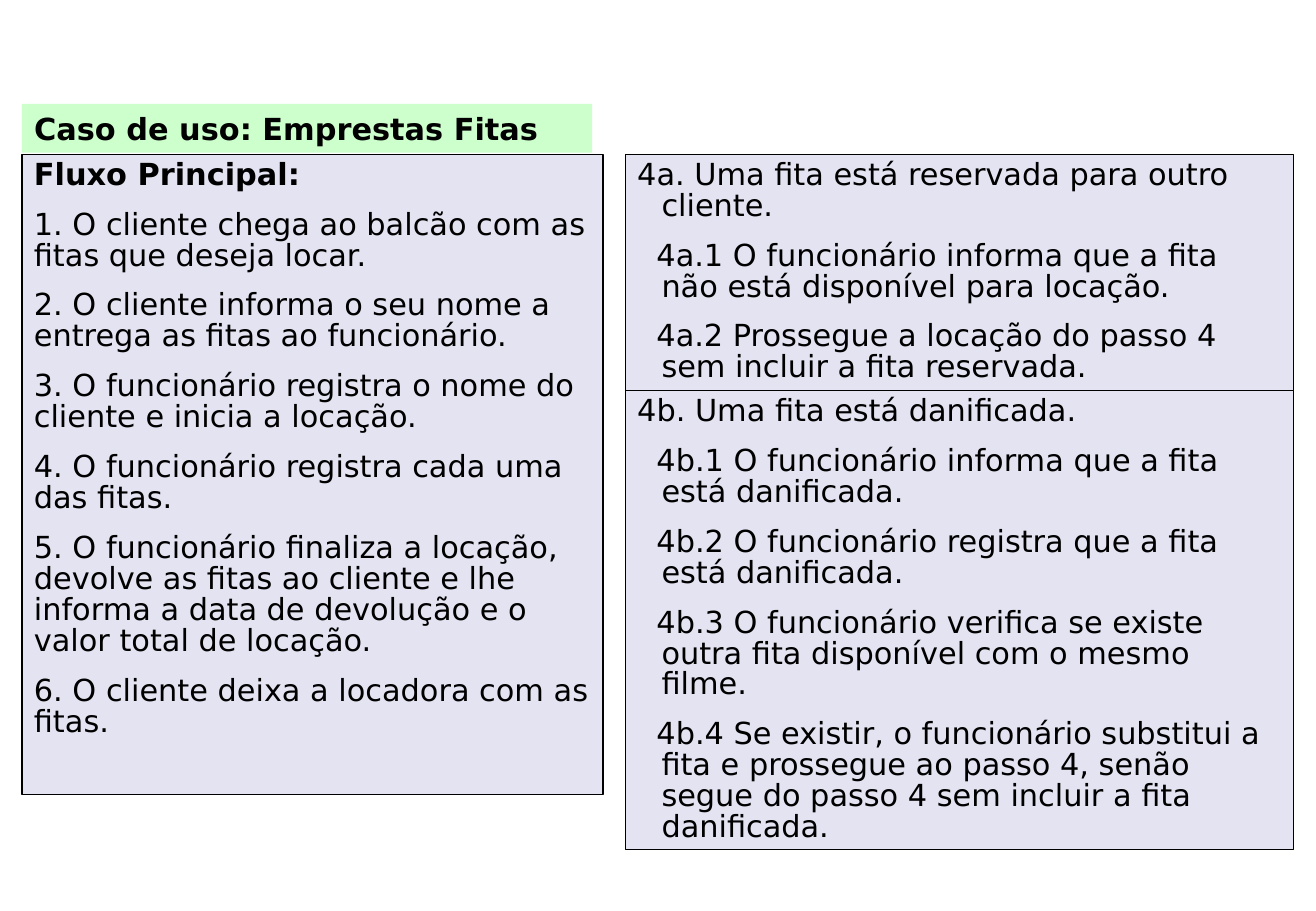
from pptx import Presentation
from pptx.dml.color import RGBColor
from pptx.enum.shapes import MSO_SHAPE
from pptx.enum.text import MSO_ANCHOR, MSO_AUTO_SIZE, PP_ALIGN
from pptx.util import Pt

# Content
TITLE = "Caso de uso: Emprestas Fitas"
MAIN_HEADING = "Fluxo Principal:"
MAIN_STEPS = [
    "1. O cliente chega ao balcão com as fitas que deseja locar.",
    "2. O cliente informa o seu nome a entrega as fitas ao funcionário.",
    "3. O funcionário registra o nome do cliente e inicia a locação.",
    "4. O funcionário registra cada uma das fitas.",
    "5. O funcionário finaliza a locação, devolve as fitas ao cliente e lhe "
    "informa a data de devolução e o valor total de locação.",
    "6. O cliente deixa a locadora com as fitas.",
]
# Alternative flows: box height, condition, steps
ALTERNATIVES = [
    (140, "4a. Uma fita está reservada para outro cliente.", [
        "4a.1 O funcionário informa que a fita não está disponível para locação.",
        "4a.2 Prossegue a locação do passo 4 sem incluir a fita reservada.",
    ]),
    (272, "4b. Uma fita está danificada.", [
        "4b.1 O funcionário informa que a fita está danificada.",
        "4b.2 O funcionário registra que a fita está danificada.",
        "4b.3 O funcionário verifica se existe outra fita disponível com o mesmo filme.",
        "4b.4 Se existir, o funcionário substitui a fita e prossegue ao passo 4, "
        "senão segue do passo 4 sem incluir a fita danificada.",
    ]),
]

# Format
FONT = "DejaVu Sans"
BLACK = RGBColor(0x00, 0x00, 0x00)
GREEN = RGBColor(0xCC, 0xFF, 0xCC)
LILAC = RGBColor(0xE3, 0xE3, 0xF1)
LEFT, RIGHT = 13, 370.6
TITLE_TOP, TOP = 61.5, 91.6
MARGIN, CONDITION_INDENT, STEP_INDENT = 14.4, -14.4, -3


def add_text(tf, text, bold=False, margin=0, indent=0, spacing=0.85):
    first = not tf.text
    p = tf.paragraphs[0] if first else tf.add_paragraph()
    p.alignment = PP_ALIGN.LEFT
    p.line_spacing = spacing
    p.space_before = Pt(0 if first else 11.2)
    pPr = p._p.get_or_add_pPr()
    pPr.set("marL", str(Pt(margin)))
    pPr.set("indent", str(Pt(indent)))
    r = p.add_run()
    r.text = text
    r.font.name, r.font.size, r.font.bold = FONT, Pt(18), bold
    r.font.color.rgb = BLACK


def set_frame(sp, color):
    sp.fill.solid()
    sp.fill.fore_color.rgb = color
    tf = sp.text_frame
    tf.word_wrap = True
    tf.auto_size = MSO_AUTO_SIZE.NONE
    tf.vertical_anchor = MSO_ANCHOR.TOP
    tf.margin_left = tf.margin_right = Pt(7.2)
    tf.margin_top = tf.margin_bottom = Pt(3.6)
    return tf


def add_box(s, left, top, width, height):
    sp = s.shapes.add_shape(MSO_SHAPE.RECTANGLE, Pt(left), Pt(top), Pt(width), Pt(height))
    sp.shadow.inherit = False
    sp.line.color.rgb = BLACK
    sp.line.width = Pt(0.75)
    return set_frame(sp, LILAC)


prs = Presentation()
prs.slide_width, prs.slide_height = Pt(780), Pt(540)
s = prs.slides.add_slide(prs.slide_layouts[5])

# Title
title = s.shapes.title
title.left, title.top, title.width, title.height = Pt(LEFT), Pt(TITLE_TOP), Pt(338), Pt(29)
add_text(set_frame(title, GREEN), TITLE, bold=True, spacing=1.0)

# Main flow
tf = add_box(s, LEFT, TOP, 344.5, 379.4)
add_text(tf, MAIN_HEADING, bold=True)
for step in MAIN_STEPS:
    add_text(tf, step)

# Alternative flows, stacked
top = TOP
for height, condition, steps in ALTERNATIVES:
    tf = add_box(s, RIGHT, top, 396.2, height)
    add_text(tf, condition, margin=MARGIN, indent=CONDITION_INDENT)
    for step in steps:
        add_text(tf, step, margin=MARGIN, indent=STEP_INDENT)
    top += height

prs.save("out.pptx")
